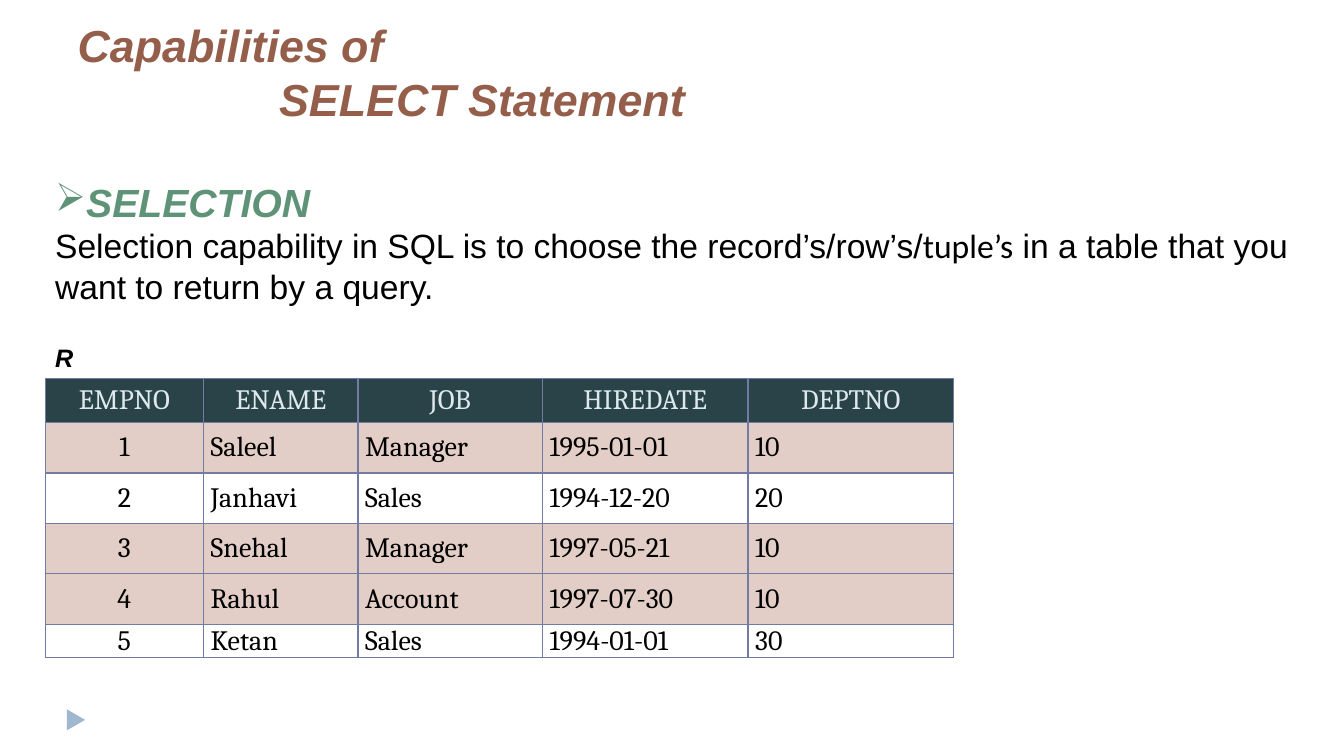
import lxml.etree
import pptx
import pptx.dml.color
import pptx.enum.shapes
import pptx.enum.text
import pptx.oxml.ns
import pptx.util

Cm = pptx.util.Cm
RGBColor = pptx.dml.color.RGBColor
qn = pptx.oxml.ns.qn
ALIGN = pptx.enum.text.PP_ALIGN
ANCHOR = pptx.enum.text.MSO_ANCHOR

BROWN = RGBColor(0x95, 0x5E, 0x4B)
GREEN = RGBColor(0x5F, 0x93, 0x78)
BLACK = RGBColor(0x00, 0x00, 0x00)
PALE = RGBColor(0xDD, 0xE9, 0xEC)
DARK = RGBColor(0x29, 0x43, 0x49)
ROSE = RGBColor(0xE3, 0xCE, 0xC7)
BORDER = RGBColor(0x72, 0x7C, 0xA3)
MARKER = RGBColor(0x9F, 0xB8, 0xCD)

COLUMN_WIDTHS = [3.99, 3.89, 4.65, 5.18, 5.18]
ROW_HEIGHTS = [1.12, 1.27, 1.27, 1.27, 1.27, 0.84]
EMPLOYEES = [
    ["EMPNO", "ENAME", "JOB", "HIREDATE", "DEPTNO"],
    ["1", "Saleel", "Manager", "1995-01-01", "10"],
    ["2", "Janhavi", "Sales", "1994-12-20", "20"],
    ["3", "Snehal", "Manager", "1997-05-21", "10"],
    ["4", "Rahul", "Account", "1997-07-30", "10"],
    ["5", "Ketan", "Sales", "1994-01-01", "30"],
]
DEPARTMENT_FILLS = {"DEPTNO": DARK, "10": ROSE}


def write(paragraph, text, size=24, font="Arial", color=BLACK, strong=False):
    """Append a run; strong makes it bold italic."""
    run = paragraph.add_run()
    run.text = text
    run.font.size = pptx.util.Pt(size)
    run.font.name = font
    run.font.color.rgb = color
    run.font.bold = run.font.italic = strong


def set_indent(paragraph, left, first):
    """Set the left margin and first-line indent of a paragraph."""
    properties = paragraph._p.get_or_add_pPr()
    properties.set("marL", str(left))
    properties.set("indent", str(first))
    return properties


def place_title(slide, left, top, width, height):
    """Move and fill the title, its second line indented."""
    title = slide.shapes.title
    title.left, title.top, title.width, title.height = left, top, width, height
    frame = title.text_frame
    frame.auto_size = pptx.enum.text.MSO_AUTO_SIZE.NONE
    frame.vertical_anchor = ANCHOR.BOTTOM
    heading = frame.paragraphs[0]
    heading.alignment = ALIGN.LEFT
    set_indent(heading, Cm(5.08), -Cm(5.08))
    write(heading, "Capabilities of ", size=32, color=BROWN, strong=True)
    heading.add_line_break()
    write(heading, "SELECT Statement", size=32, color=BROWN, strong=True)


def place_definition(slide, left, top, width, height):
    """Place the bulleted term and its definition."""
    frame = slide.shapes.add_textbox(left, top, width, height).text_frame
    frame.word_wrap = True
    term = frame.paragraphs[0]
    term.line_spacing = 2.0
    bullet = lxml.etree.SubElement(set_indent(term, 0, 0), qn("a:buChar"))
    bullet.set("char", "➢")
    write(term, "SELECTION", size=28, color=GREEN, strong=True)
    definition = frame.add_paragraph()
    write(definition, "Selection capability in SQL is to choose the record’s/row’s/")
    write(definition, "tuple’s", font="Calibri")
    write(definition, " in a table that you want to return by a query.")


def outline_cell(cell):
    """Draw a thin border on all four sides of a cell."""
    properties = cell._tc.get_or_add_tcPr()
    for side in ("a:lnL", "a:lnR", "a:lnT", "a:lnB"):
        edge = lxml.etree.SubElement(properties, qn(side), w=str(pptx.util.Pt(1)))
        fill = lxml.etree.SubElement(edge, qn("a:solidFill"))
        lxml.etree.SubElement(fill, qn("a:srgbClr"), val=str(BORDER))


def fill_cell(cell, text, color, background, centred):
    """Write and format one table cell."""
    cell.margin_left = cell.margin_right = Cm(0.18)
    cell.margin_top = cell.margin_bottom = 0
    cell.vertical_anchor = ANCHOR.MIDDLE
    outline_cell(cell)
    if background:
        cell.fill.solid()
        cell.fill.fore_color.rgb = background
    else:
        cell.fill.background()
    entry = cell.text_frame.paragraphs[0]
    entry.alignment = ALIGN.CENTER if centred else ALIGN.LEFT
    write(entry, text, size=20, font="Cambria", color=color)


def place_relation(slide, left, top, width, height):
    """Place the relation's name and, below it, its table."""
    name_height = Cm(1.02)
    name = slide.shapes.add_textbox(left, top, Cm(1.09), name_height)
    write(name.text_frame.paragraphs[0], "R", size=18, strong=True)
    employees = slide.shapes.add_table(
        len(EMPLOYEES), len(COLUMN_WIDTHS), left, top + name_height, width, height - name_height
    ).table
    for column, column_width in zip(employees.columns, COLUMN_WIDTHS):
        column.width = Cm(column_width)
    for row, row_height in zip(employees.rows, ROW_HEIGHTS):
        row.height = Cm(row_height)
    for r, record in enumerate(EMPLOYEES):
        background = DEPARTMENT_FILLS.get(record[-1])
        for c, text in enumerate(record):
            fill_cell(employees.cell(r, c), text, BLACK if r else PALE, background, r == 0 or c == 0)


def place_marker(slide, left, top, width, height):
    """Place the footer triangle pointing right."""
    kind = pptx.enum.shapes.MSO_SHAPE.ISOSCELES_TRIANGLE
    marker = slide.shapes.add_shape(kind, left, top, width, height)
    marker.rotation = 90
    marker.shadow.inherit = False
    marker.fill.solid()
    marker.fill.fore_color.rgb = MARKER
    marker.line.fill.background()


def main():
    """Build and save the slide."""
    deck = pptx.Presentation()
    deck.slide_width, deck.slide_height = Cm(33.87), Cm(19.05)
    slide = deck.slides.add_slide(deck.slide_layouts.get_by_name("Title Only"))
    place_marker(slide, Cm(1.65), Cm(17.91), Cm(0.53), Cm(0.46))
    place_definition(slide, Cm(1.14), Cm(3.18), Cm(31.6), Cm(4.7))
    place_title(slide, Cm(1.7), Cm(0.74), Cm(30.48), Cm(2.54))
    place_relation(slide, Cm(1.14), Cm(8.51), Cm(sum(COLUMN_WIDTHS)), Cm(1.02 + sum(ROW_HEIGHTS)))
    deck.save("out.pptx")


if __name__ == "__main__":
    main()
